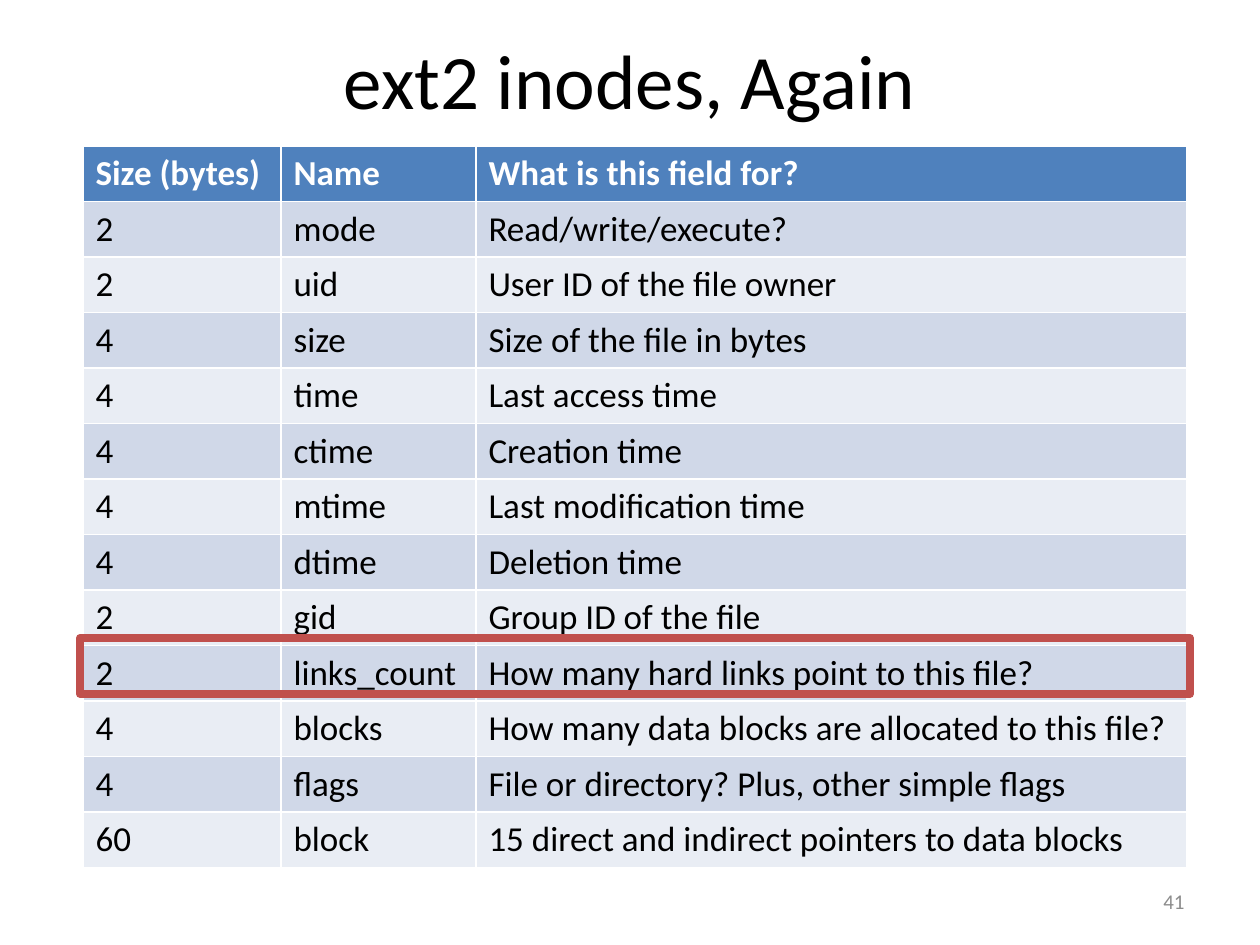
from pptx import Presentation
from pptx import util as u
from pptx.dml.color import RGBColor
from pptx.enum import shapes, text

PX = 914400 / 126  # EMU in one px

BLACK = RGBColor(0x00, 0x00, 0x00)
WHITE = RGBColor(0xFF, 0xFF, 0xFF)
BLUE = RGBColor(0x4F, 0x81, 0xBD)
BAND_DARK = RGBColor(0xD0, 0xD8, 0xE8)
BAND_LIGHT = RGBColor(0xE9, 0xED, 0xF4)
RED = RGBColor(0xC0, 0x50, 0x4D)
GRAY = RGBColor(0x8C, 0x8C, 0x8C)

HEADINGS = ("Size (bytes)", "Name", "What is this field for?")
FIELDS = (
    ("2", "mode", "Read/write/execute?"),
    ("2", "uid", "User ID of the file owner"),
    ("4", "size", "Size of the file in bytes"),
    ("4", "time", "Last access time"),
    ("4", "ctime", "Creation time"),
    ("4", "mtime", "Last modification time"),
    ("4", "dtime", "Deletion time"),
    ("2", "gid", "Group ID of the file"),
    ("2", "links_count", "How many hard links point to this file?"),
    ("4", "blocks", "How many data blocks are allocated to this file?"),
    ("4", "flags", "File or directory? Plus, other simple flags"),
    ("60", "block", "15 direct and indirect pointers to data blocks"),
)
COLUMN_WIDTHS = (198, 195, 711)
ROW_HEIGHT = 52


def px(*lengths):
    """Turn px lengths into a list of EMU."""
    return [u.Emu(round(length * PX)) for length in lengths]


def write(frame, words, size, color, bold=False, align=None):
    frame.text = words
    paragraph = frame.paragraphs[0]
    paragraph.alignment = align
    font = paragraph.runs[0].font
    font.name, font.size, font.bold = "Calibri", u.Pt(size), bold
    font.color.rgb = color


deck = Presentation()
deck.slide_width, deck.slide_height = px(1260, 945)
slide = deck.slides.add_slide(deck.slide_layouts[5])

title = slide.shapes.title
title.left, title.top, title.width, title.height = px(63, 0, 1134, 158)
title.text_frame.vertical_anchor = text.MSO_ANCHOR.MIDDLE
write(title.text_frame, "ext2 inodes, Again", 44, BLACK, align=text.PP_ALIGN.CENTER)

# The default table style supplies the white rules between cells.
rows = (HEADINGS,) + FIELDS
inode = slide.shapes.add_table(
    len(rows), len(HEADINGS),
    *px(83, 146, sum(COLUMN_WIDTHS), ROW_HEIGHT * len(rows))).table
for column, width in zip(inode.columns, px(*COLUMN_WIDTHS)):
    column.width = width
for r, row in enumerate(rows):
    is_heading = r == 0
    band = BLUE if is_heading else BAND_DARK if r % 2 else BAND_LIGHT
    for c, words in enumerate(row):
        cell = inode.cell(r, c)
        cell.fill.solid()
        cell.fill.fore_color.rgb = band
        write(cell.text_frame, words, 20, WHITE if is_heading else BLACK, is_heading)

page_number = slide.shapes.add_textbox(*px(903, 876, 294, 50)).text_frame
page_number.word_wrap = True
page_number.vertical_anchor = text.MSO_ANCHOR.MIDDLE
write(page_number, "41", 12, GRAY, align=text.PP_ALIGN.RIGHT)

links_highlight = slide.shapes.add_shape(
    shapes.MSO_SHAPE.RECTANGLE, *px(80, 638, 1110, 56))
links_highlight.shadow.inherit = False
links_highlight.fill.background()
links_highlight.line.color.rgb = RED
links_highlight.line.width = u.Pt(4.5)

deck.save("out.pptx")
